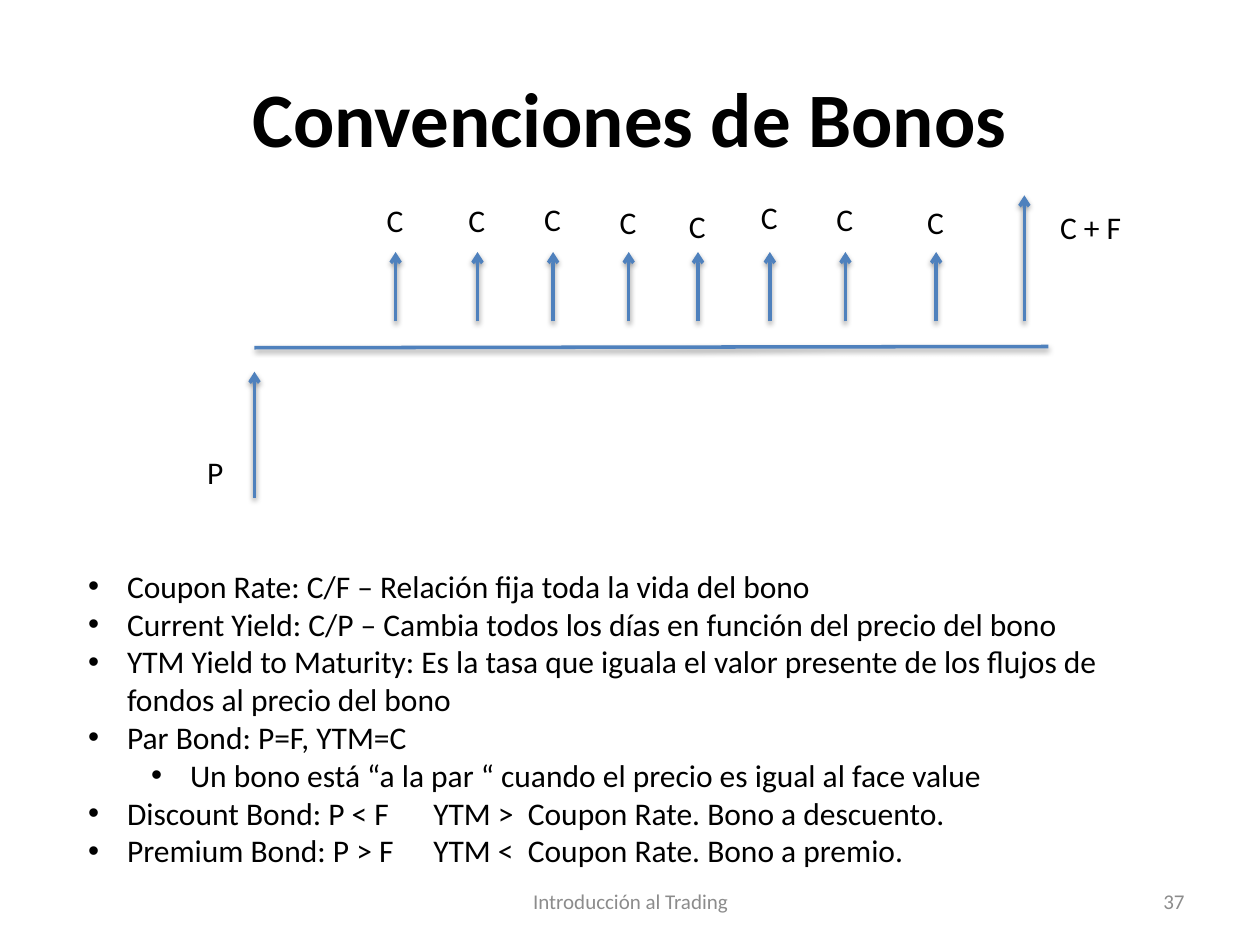
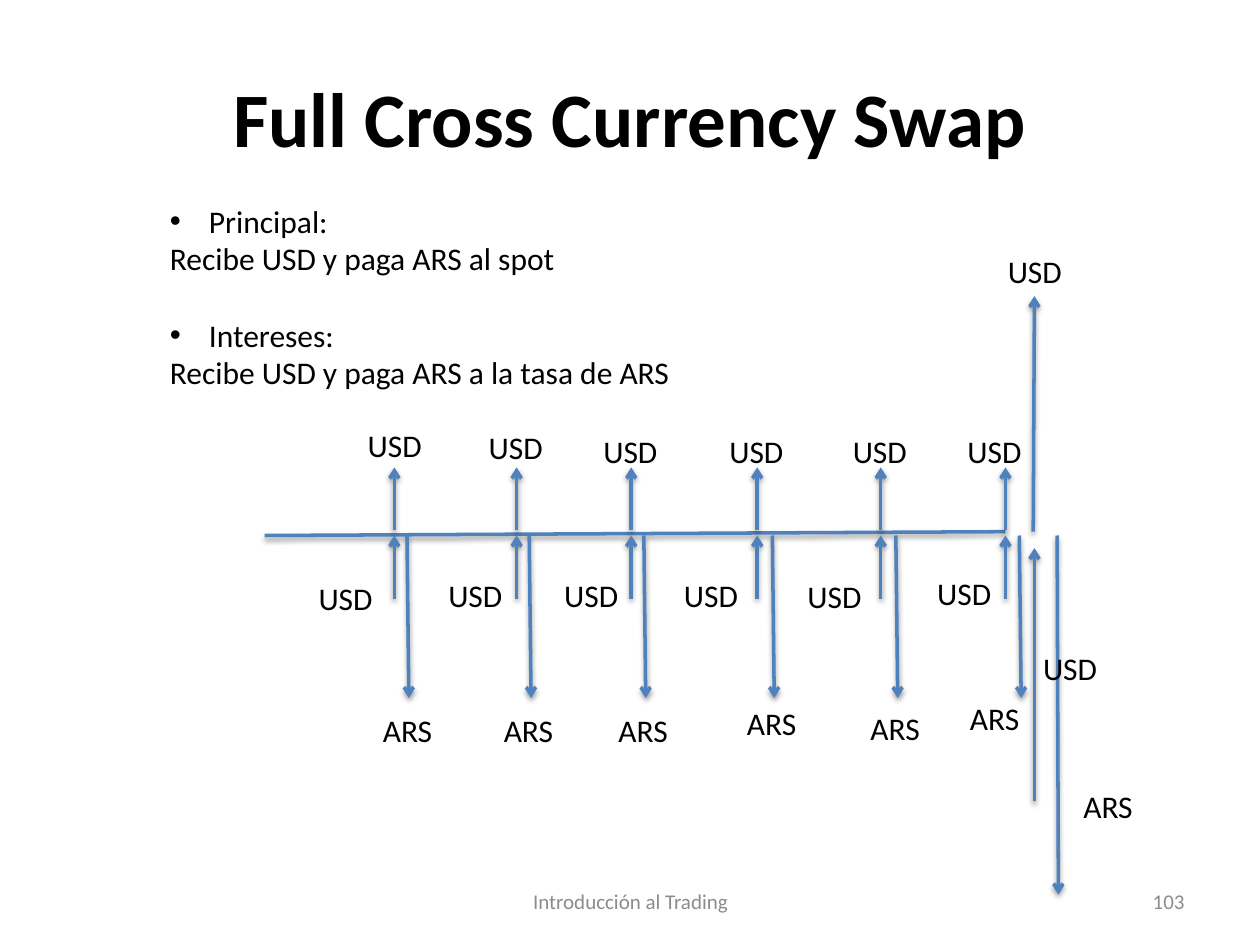
from dataclasses import dataclass

from lxml.etree import SubElement
from pptx import Presentation
from pptx.dml.color import RGBColor
from pptx.enum.shapes import MSO_CONNECTOR
from pptx.enum.text import MSO_ANCHOR, MSO_AUTO_SIZE, PP_ALIGN
from pptx.oxml.ns import qn
from pptx.util import Inches, Pt

COLORS = {"text": "000000", "line": "4F81BD", "muted": "8C8C8C", "shade": "000000"}
FONT = "Calibri"
COLS, ROWS = 100, 75
WIDTH, HEIGHT = Inches(10), Inches(7.5)
COL, ROW = WIDTH // COLS, HEIGHT // ROWS
LABEL = {"P": 3.3, "C": 3.4, "C + F": 6.9, "USD": 6.4, "ARS": 6}
TALL = 4
HANG = 0.31


@dataclass
class Box:
    """An area in grid columns and rows."""
    left: float
    top: float
    wide: float
    high: float

    def at(self, x, y):
        return int((self.left + x) * COL), int((self.top + y) * ROW)

    def rect(self):
        return *self.at(0, 0), int(self.wide * COL), int(self.high * ROW)


def style(para, size, color="text", bold=False):
    for run in para.runs:
        font = run.font
        font.name, font.size, font.bold = FONT, Pt(size), bold
        font.color.rgb = RGBColor.from_string(COLORS[color])


def write(slide, box, text, size=18, color="text", align=PP_ALIGN.LEFT,
          anchor=MSO_ANCHOR.TOP, wrap=True):
    frame = slide.shapes.add_textbox(*box.rect()).text_frame
    frame.word_wrap = wrap
    frame.vertical_anchor = anchor
    frame.text = text
    for para in frame.paragraphs:
        para.alignment = align
        style(para, size, color)
    return frame


def bullet(para, level=0):
    para.level = level
    props = para._p.get_or_add_pPr()
    props.set("marL", str(Inches(HANG + level / 2)))
    props.set("indent", str(-Inches(HANG)))
    SubElement(props, qn("a:buFont")).set("typeface", "Arial")
    SubElement(props, qn("a:buChar")).set("char", "•")


def tab(para, place):
    """Set one left tab stop, measured in inches."""
    stops = SubElement(para._p.get_or_add_pPr(), qn("a:tabLst"))
    stop = SubElement(stops, qn("a:tab"))
    stop.set("pos", str(Inches(place)))
    stop.set("algn", "l")


def shade(link):
    effects = SubElement(link._element.spPr, qn("a:effectLst"))
    cast = SubElement(effects, qn("a:outerShdw"))
    for key, value in {"blurRad": Pt(3.1), "dist": Pt(1.6),
                       "dir": 90 * 60000, "rotWithShape": 0}.items():
        cast.set(key, str(int(value)))
    tint = SubElement(cast, qn("a:srgbClr"))
    tint.set("val", COLORS["shade"])
    SubElement(tint, qn("a:alpha")).set("val", "38000")


def line(slide, box, start, end, head=True):
    link = slide.shapes.add_connector(
        MSO_CONNECTOR.STRAIGHT, *box.at(*start), *box.at(*end))
    link.line.width = Pt(2)
    link.line.color.rgb = RGBColor.from_string(COLORS["line"])
    if head:
        SubElement(link.line._get_or_add_ln(), qn("a:tailEnd")).set("type", "arrow")
    shade(link)


def label(slide, box, text, mid, top):
    """Write a short name centred on column mid."""
    wide = LABEL[text]
    area = Box(box.left + mid - wide / 2, box.top + top, wide, TALL)
    frame = write(slide, area, text, wrap=False)
    frame.auto_size = MSO_AUTO_SIZE.SHAPE_TO_FIT_TEXT


def start(deck, title, number):
    """Add a slide with its title and footer."""
    slide = deck.slides.add_slide(deck.slide_layouts[5])
    head = slide.shapes.title
    head.left, head.top, head.width, head.height = Box(5, 3, 90, 12.5).rect()
    frame = head.text_frame
    frame.text = title
    frame.vertical_anchor = MSO_ANCHOR.MIDDLE
    frame.paragraphs[0].alignment = PP_ALIGN.CENTER
    style(frame.paragraphs[0], 44, bold=True)
    for left, wide, text, align in (
            (34.2, 31.7, "Introducción al Trading", PP_ALIGN.CENTER),
            (71.7, 23.3, number, PP_ALIGN.RIGHT)):
        write(slide, Box(left, 69.5, wide, TALL), text, 12, "muted", align,
              MSO_ANCHOR.MIDDLE)
    return slide


def bond_flow(slide, box):
    line(slide, box, (0, 12.1), (63, 12), head=False)
    line(slide, box, (0, 24), (0, 14))
    label(slide, box, "P", -3.1, 20)
    coupons = ((11.2, 0), (17.7, 0), (23.7, -0.1), (29.7, 0.1),
               (35.2, 0.4), (40.9, -0.3), (46.9, -0.1), (54.1, 0.1))
    for x, top in coupons:
        line(slide, box, (x, 10), (x, 4.5))
        label(slide, box, "C", x, top)
    line(slide, box, (61.1, 10), (61.1, 0))
    label(slide, box, "C + F", 66.4, 0.5)


def bond_terms(slide, box):
    terms = (
        "Coupon Rate: C/F – Relación fija toda la vida del bono",
        "Current Yield: C/P – Cambia todos los días en función del precio del bono",
        "YTM Yield to Maturity: Es la tasa que iguala el valor presente de los "
        "flujos de fondos al precio del bono",
        "Par Bond: P=F, YTM=C",
        "Un bono está “a la par “ cuando el precio es igual al face value",
        "Discount Bond: P < F\tYTM >  Coupon Rate. Bono a descuento.",
        "Premium Bond: P > F\tYTM <  Coupon Rate. Bono a premio.",
    )
    frame = write(slide, box, "\n".join(terms))
    for para, term in zip(frame.paragraphs, terms):
        bullet(para, int(term.startswith("Un bono")))
        if "\t" in term:
            tab(para, 2.74)


def swap_terms(slide, box):
    frame = write(slide, box, "Principal:\nRecibe USD y paga ARS al spot\n"
                  "Intereses:\nRecibe USD y paga ARS a la tasa de ARS", wrap=False)
    for para in frame.paragraphs[::2]:
        bullet(para)
    frame.paragraphs[2].space_before = Pt(22)


def swap_flow(slide, box):
    axis = 23
    line(slide, box, (0, axis), (58.8, axis - 0.3), head=False)
    # stem, ARS stem, then (centre, top) of the upper, lower and ARS labels
    dates = (
        (10.3, 11.3, (10.4, 13.8), (6.5, 26), (11.4, 36.4)),
        (20, 21, (20, 14), (16.8, 25.7), (21, 36.4)),
        (29.1, 30.1, (29.1, 14.3), (26, 25.7), (30.1, 36.4)),
        (39.1, 40.3, (39.1, 14.3), (35.5, 25.7), (40.3, 35.9)),
        (48.9, 50.1, (48.9, 14.3), (45.3, 25.8), (50.1, 36.3)),
        (58.8, 59.9, (58, 14.3), (55.6, 25.6), (58, 35.5)),
    )
    for stem, pay, upper, lower, paid in dates:
        line(slide, box, (stem, axis - 0.4), (stem, axis - 5.4))
        line(slide, box, (stem, axis + 5), (stem, axis))
        line(slide, box, (pay, axis), (pay + 0.15, axis + 12.9))
        label(slide, box, "USD", *upper)
        label(slide, box, "USD", *lower)
        label(slide, box, "ARS", *paid)
    line(slide, box, (61, axis - 0.3), (61.1, 4))
    line(slide, box, (61.1, 44.1), (61.1, 24))
    line(slide, box, (62.9, axis), (63, 51.5))
    label(slide, box, "USD", 61.2, 0)
    label(slide, box, "USD", 64, 31.5)
    label(slide, box, "ARS", 67, 42.5)


def main():
    deck = Presentation()
    deck.slide_width, deck.slide_height = WIDTH, HEIGHT
    bonds = start(deck, "Convenciones de Bonos", "37")
    bond_flow(bonds, Box(20.2, 15.5, 63, 24))
    bond_terms(bonds, Box(6, 44.5, 85.9, 28.3))
    swap = start(deck, "Full Cross Currency Swap", "103")
    swap_flow(swap, Box(21, 19.5, 63, 51.5))
    swap_terms(swap, Box(12.5, 15.5, 42.2, 16.2))
    deck.save("out.pptx")


if __name__ == "__main__":
    main()
